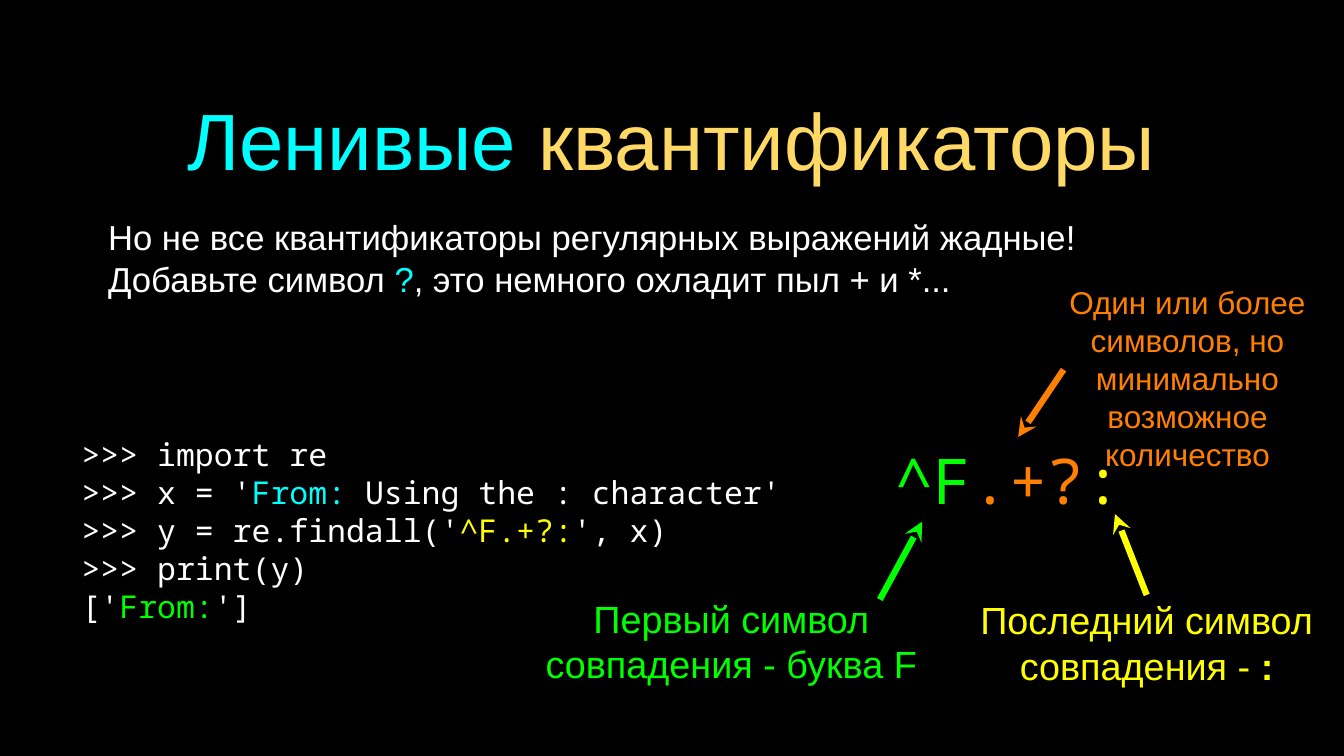
from lxml.etree import SubElement as Sub
from pptx import Presentation as Deck
from pptx.dml.color import RGBColor as RGB
from pptx.enum.shapes import MSO_CONNECTOR as Conn
from pptx.enum.text import MSO_ANCHOR as Anchor, PP_ALIGN as Align
from pptx.oxml.ns import qn
from pptx.util import Inches, Pt

BLACK = RGB(0, 0, 0)
WHITE = RGB(255, 255, 255)
CYAN = RGB(0, 255, 255)
GOLD = RGB(255, 217, 102)
GREEN = RGB(0, 255, 0)
ORANGE = RGB(255, 127, 0)
YELLOW = RGB(255, 255, 0)
SANS, MONO = "Arial", "Noto Sans Mono"


def add_text(slide, box, lines, size, font=SANS, align=Align.LEFT,
             anchor=Anchor.MIDDLE, pad=0):
    """Add a text box from lines of (text, colour) runs; return its frame."""
    frame = slide.shapes.add_textbox(*map(Inches, box)).text_frame
    frame.word_wrap = True
    frame.vertical_anchor = anchor
    frame.margin_left = frame.margin_right = Inches(pad)
    frame.margin_top = frame.margin_bottom = Inches(pad)
    for i, line in enumerate(lines):
        para = frame.add_paragraph() if i else frame.paragraphs[0]
        para.alignment = align
        para.line_spacing = Pt(size * 1.2)
        for text, color in line:
            run = para.add_run()
            run.text = text
            run.font.name = font
            run.font.size = Pt(size)
            run.font.color.rgb = color
    return frame


def add_label(slide, box, runs, size):
    """Add a centred caption for one part of the pattern."""
    return add_text(slide, box, [runs], size, align=Align.CENTER)


def add_arrow(slide, tip, end, color):
    """Add a thick arrow that points at tip."""
    line = slide.shapes.add_connector(
        Conn.STRAIGHT, *map(Inches, (*tip, *end)))
    line.line.color.rgb = color
    line.line.width = Pt(6)
    Sub(line.line._get_or_add_ln(), qn("a:headEnd"), type="stealth")
    Sub(line._element.spPr, qn("a:effectLst"))


def main():
    """Build the slide on lazy quantifiers."""
    deck = Deck()
    deck.slide_width, deck.slide_height = Inches(17.78), Inches(10)
    slide = deck.slides.add_slide(deck.slide_layouts[6])
    fill = slide.background.fill
    fill.solid()
    fill.fore_color.rgb = BLACK

    add_text(slide, (1.26, 0.89, 15.24, 1.89),
             [[("Ленивые ", CYAN), ("квантификаторы", GOLD)]],
             76, align=Align.CENTER, pad=0.04)
    add_text(slide, (1.39, 2.82, 13.21, 1.61), [
        [("Но не все квантификаторы регулярных выражений жадные!", WHITE)],
        [("Добавьте символ ", WHITE), ("?", CYAN),
         (", это немного охладит пыл + и *...", WHITE)],
    ], 33, anchor=Anchor.TOP, pad=0.04)
    add_text(slide, (1.08, 5.53, 10.97, 2.96), [
        [(">>> import re", WHITE)],
        [(">>> x = '", WHITE), ("From: ", CYAN),
         ("Using the : character'", WHITE)],
        [(">>> y = re.findall('", WHITE), ("^F.+?:", YELLOW),
         ("', x)", WHITE)],
        [(">>> print(y)", WHITE)],
        [("['", WHITE), ("From:", GREEN), ("']", WHITE)],
    ], 30, MONO)
    add_text(slide, (11.85, 5.78, 3.24, 1.12),
             [[("^F", GREEN), (".+?", ORANGE), (":", YELLOW)]], 60, MONO)

    add_label(slide, (13.94, 3.66, 3.54, 2.68),
              [("Один или более символов, но минимально "
                "возможное количество", ORANGE)], 30)
    add_label(slide, (6.82, 7.85, 5.71, 1.25),
              [("Первый символ совпадения - буква F", GREEN)], 36)
    last = add_label(slide, (12.89, 7.87, 4.56, 1.25),
                     [("Последний символ совпадения - ", YELLOW),
                      (":", YELLOW)], 36)
    last.paragraphs[0].runs[-1].font.bold = True

    add_arrow(slide, (13.47, 5.78), (14.07, 4.89), ORANGE)
    add_arrow(slide, (12.2, 6.9), (11.64, 7.93), GREEN)
    add_arrow(slide, (14.75, 6.8), (15.17, 7.87), YELLOW)
    deck.save("out.pptx")


if __name__ == "__main__":
    main()
